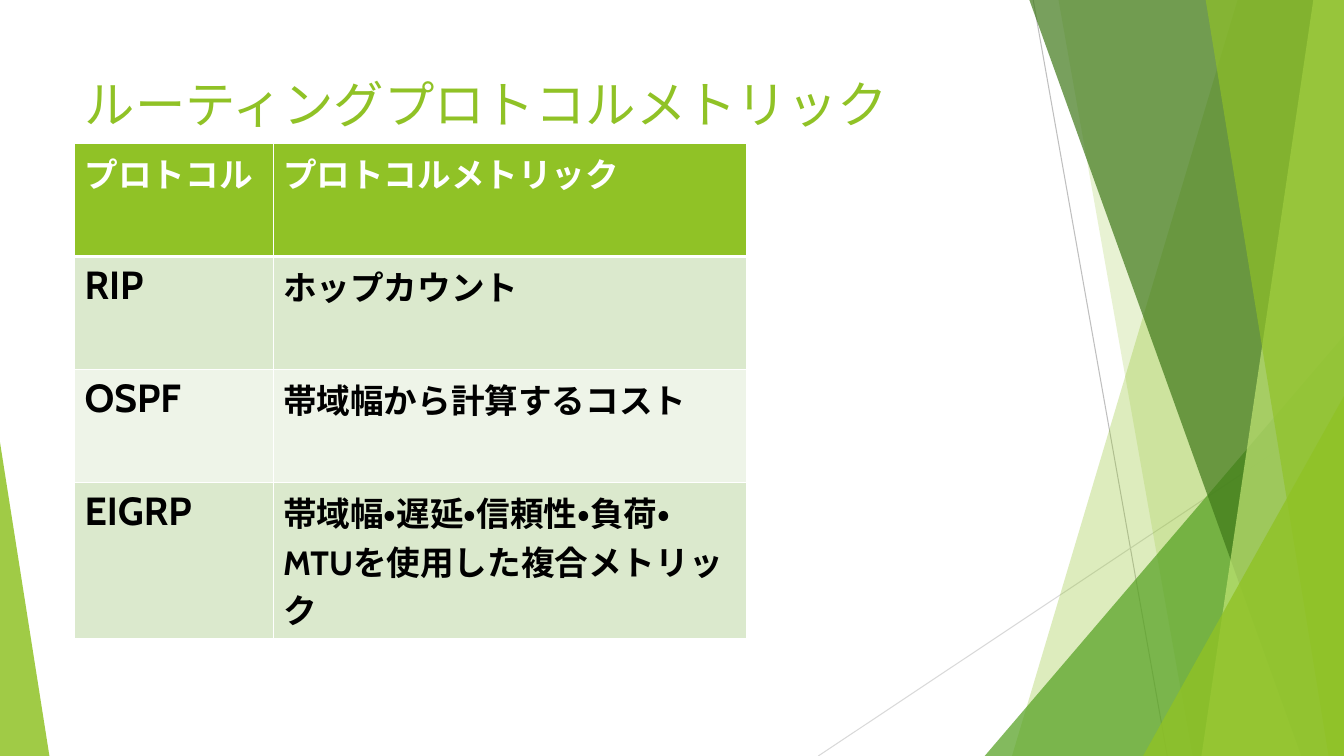
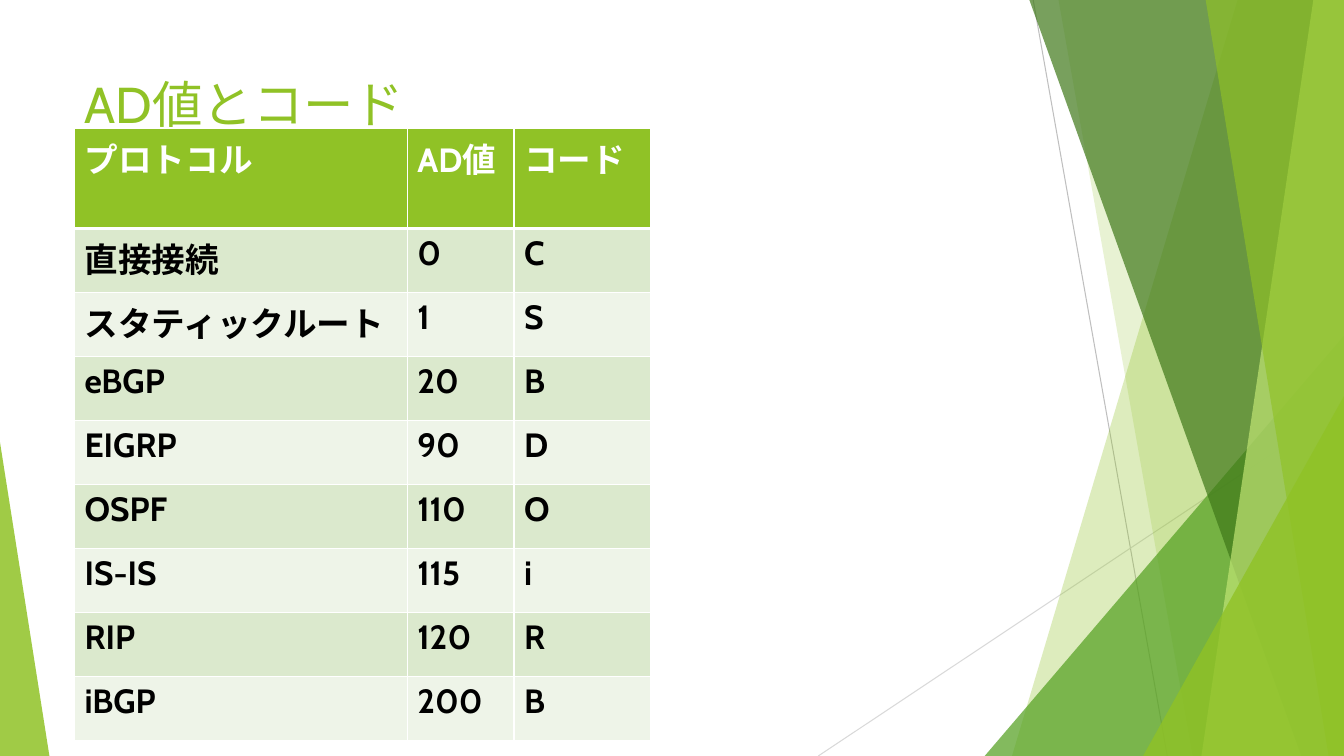
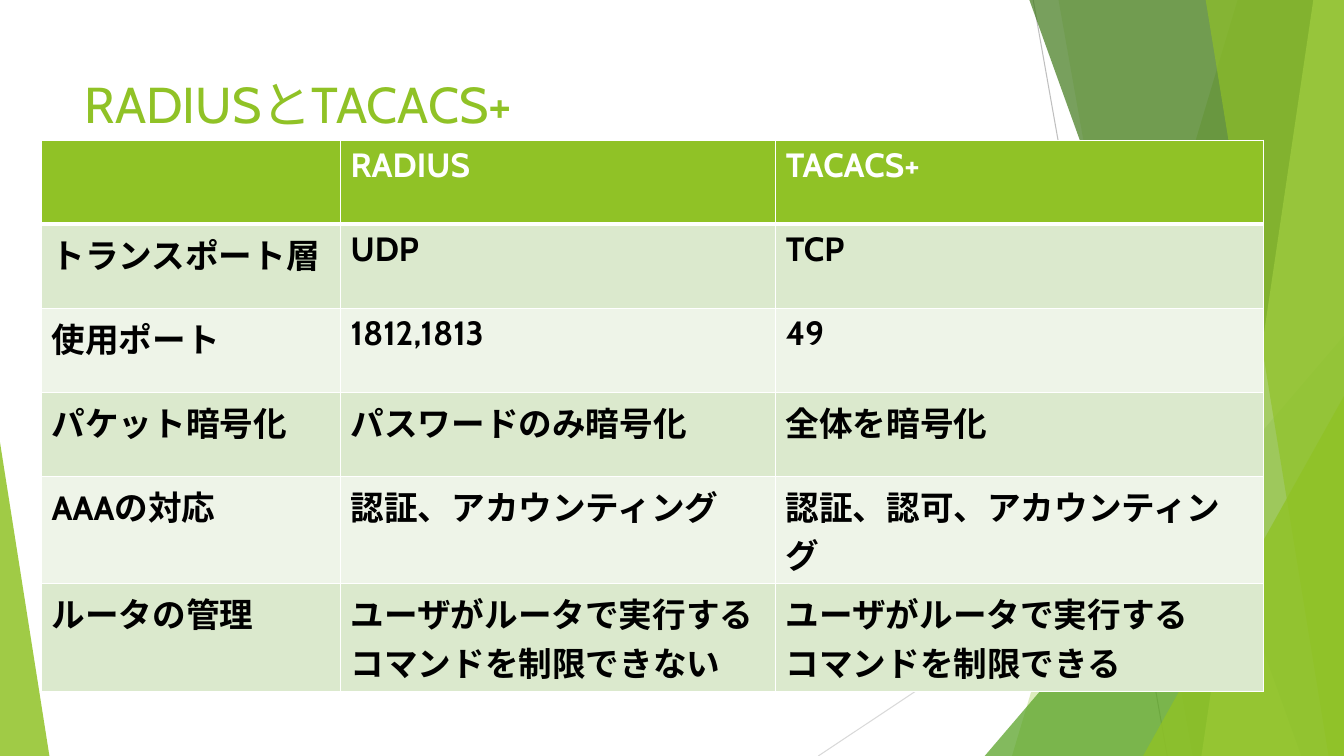
"""Build three slides of routing and AAA tables on a shared green facet layout."""
from lxml import etree
from pptx import Presentation
from pptx.dml.color import RGBColor
from pptx.enum.lang import MSO_LANGUAGE_ID
from pptx.enum.shapes import MSO_CONNECTOR, MSO_SHAPE
from pptx.enum.text import MSO_ANCHOR, PP_ALIGN
from pptx.oxml.ns import qn
from pptx.util import Pt

JAPANESE = MSO_LANGUAGE_ID.JAPANESE
STRAIGHT = MSO_CONNECTOR.STRAIGHT
TRIANGLE = MSO_SHAPE.ISOSCELES_TRIANGLE
TOP = MSO_ANCHOR.TOP
LEFT = PP_ALIGN.LEFT

WIDTH, HEIGHT = 960, 540
FONT = "Cabin"
COLORS = {
    "lime": "90C226", "green": "54A021", "forest": "3F7819", "pale": "C0E474",
    "gray": "BFBFBF", "silver": "D9D9D9", "white": "FFFFFF", "black": "000000",
    "band_odd": "DBE9CD", "band_even": "EEF4E8",
}
TITLE_BOX = (53.3, 48.4, 676.8, 104)

RAYS = [
    ((738, 0), (833.8, HEIGHT), "gray"),
    ((WIDTH, 290), (584.5, HEIGHT), "silver"),
]
FACETS = [
    {"top_x": 884.2, "bottom_x": 722.9, "color": "lime", "alpha": 30},
    {"top_x": 756, "bottom_x": 851.8, "color": "lime", "alpha": 20},
    {"box": (703.4, 239.8, 256.6), "apex": 1, "color": "green", "alpha": 72},
    {"top_x": 735.1, "bottom_x": 929.5, "color": "forest", "alpha": 70},
    {"top_x": 938.2, "bottom_x": 858.2, "color": "pale", "alpha": 70},
    {"top_x": 861.1, "bottom_x": 949, "color": "lime", "alpha": 65},
    {"box": (816.5, 283, 143.5), "apex": 1, "color": "lime", "alpha": 80},
    {"box": (0, 316, 35.3), "apex": 0, "color": "lime", "alpha": 85},
]

SLIDES = [
    {
        "title": "ルーティングプロトコルメトリック",
        "at": (53.3, 102.6), "columns": (141.8, 338.4), "row": 80.7, "key_size": 28,
        "rows": [
            ("プロトコル", "プロトコルメトリック"),
            ("RIP", "ホップカウント"),
            ("OSPF", "帯域幅から計算するコスト"),
            ("EIGRP", "帯域幅・遅延・信頼性・負荷・MTUを使用した複合メトリック"),
        ],
    },
    {
        "title": "AD値とコード",
        "at": (53.3, 92), "columns": (237.6, 76.3, 97.9), "row": 45.7, "key_size": 24,
        "rows": [
            ("プロトコル", "AD値", "コード"),
            ("直接接続", "0", "C"),
            ("スタティックルート", "1", "S"),
            ("eBGP", "20", "B"),
            ("EIGRP", "90", "D"),
            ("OSPF", "110", "O"),
            ("IS-IS", "115", "i"),
            ("RIP", "120", "R"),
            ("iBGP", "200", "B"),
        ],
    },
    {
        "title": "RADIUSとTACACS+",
        "at": (29.7, 100.2), "columns": (213.6, 310.8, 348.4), "row": 60, "key_size": 24,
        "rows": [
            ("", "RADIUS", "TACACS+"),
            ("トランスポート層", "UDP", "TCP"),
            ("使用ポート", "1812,1813", "49"),
            ("パケット暗号化", "パスワードのみ暗号化", "全体を暗号化"),
            ("AAAの対応", "認証、アカウンティング", "認証、認可、アカウンティング"),
            ("ルータの管理", "ユーザがルータで実行する\nコマンドを制限できない",
             "ユーザがルータで実行する\nコマンドを制限できる"),
        ],
    },
]


def rgb(color):
    return RGBColor.from_string(COLORS[color])


def add_run(paragraph, text, size, color, bold=False):
    run = paragraph.add_run()
    run.text = text
    font = run.font
    font.name, font.size, font.bold = FONT, Pt(size), bold
    font.color.rgb = rgb(color)
    font.language_id = JAPANESE


def draw_ray(shapes, start, end, color):
    ray = shapes.add_connector(STRAIGHT, *map(Pt, start + end))
    ray.line.color.rgb = rgb(color)
    ray.line.width = Pt(0.75)
    etree.SubElement(ray.element.spPr, qn("a:effectLst"))
    return ray


def draw_facet(shapes, facet):
    if "box" in facet:
        left, top, width = facet["box"]
        shape = shapes.add_shape(TRIANGLE, Pt(left), Pt(top), Pt(width), Pt(HEIGHT - top))
        shape.adjustments[0] = facet["apex"]
    else:
        outline = shapes.build_freeform(Pt(facet["top_x"]), Pt(-0.6))
        corners = [(WIDTH, -0.6), (WIDTH, HEIGHT), (facet["bottom_x"], HEIGHT)]
        outline.add_line_segments([(Pt(x), Pt(y)) for x, y in corners], close=True)
        shape = outline.convert_to_shape()
    shape.shadow.inherit = False
    shape.fill.solid()
    shape.fill.fore_color.rgb = rgb(facet["color"])
    shape.line.fill.background()
    tint = shape.element.spPr.find(".//" + qn("a:srgbClr"))
    etree.SubElement(tint, qn("a:alpha"), val=str(facet["alpha"] * 1000))
    return shape


def decorate_layout(layout, shapes):
    """Draw the rays and facets and move them behind the layout's placeholders."""
    decor = [draw_ray(shapes, *ray) for ray in RAYS]
    decor += [draw_facet(shapes, facet) for facet in FACETS]
    for index, shape in enumerate(decor):
        shape.element.xpath(".//p:cNvPr")[0].set("id", str(101 + index))
        layout.shapes.element.insert(2 + index, shape.element)


def set_borders(tc, row):
    widths = {"lnL": 1, "lnR": 1, "lnT": 3 if row == 1 else 1, "lnB": 3 if row == 0 else 1}
    for side, width in widths.items():
        border = etree.SubElement(tc.get_or_add_tcPr(), qn("a:" + side), w=str(Pt(width)))
        fill = etree.SubElement(border, qn("a:solidFill"))
        etree.SubElement(fill, qn("a:srgbClr"), val=COLORS["white"])


def add_grid(slide, content):
    rows, columns = content["rows"], content["columns"]
    frame = slide.shapes.add_table(
        len(rows), len(columns), *map(Pt, content["at"]),
        Pt(sum(columns)), Pt(content["row"] * len(rows)))
    table = frame.table
    for column, width in zip(table.columns, columns):
        column.width = Pt(width)
    for row in table.rows:
        row.height = Pt(content["row"])
    for index, (cell, tc) in enumerate(zip(table.iter_cells(), frame.element.iter(qn("a:tc")))):
        row, column = divmod(index, len(columns))
        set_borders(tc, row)
        band = "band_odd" if row % 2 else "band_even"
        cell.fill.solid()
        cell.fill.fore_color.rgb = rgb(band if row else "lime")
        size = content["key_size"] if row and column == 0 else 24
        for number, line in enumerate(rows[row][column].splitlines()):
            frame_text = cell.text_frame
            paragraph = frame_text.add_paragraph() if number else frame_text.paragraphs[0]
            add_run(paragraph, line, size, "black" if row else "white", bold=True)


def add_title(slide, text):
    title = slide.shapes.title
    title.left, title.top, title.width, title.height = map(Pt, TITLE_BOX)
    title.text_frame.vertical_anchor = TOP
    paragraph = title.text_frame.paragraphs[0]
    paragraph.alignment = LEFT
    add_run(paragraph, text, 36, "lime")


def main():
    deck = Presentation()
    deck.slide_width, deck.slide_height = Pt(WIDTH), Pt(HEIGHT)
    layout = deck.slide_layouts.get_by_name("Title Only")
    slides = [deck.slides.add_slide(layout) for _ in SLIDES]
    decorate_layout(layout, slides[0].shapes)
    for slide, content in zip(slides, SLIDES):
        add_title(slide, content["title"])
        add_grid(slide, content)
    deck.save("out.pptx")


if __name__ == "__main__":
    main()
